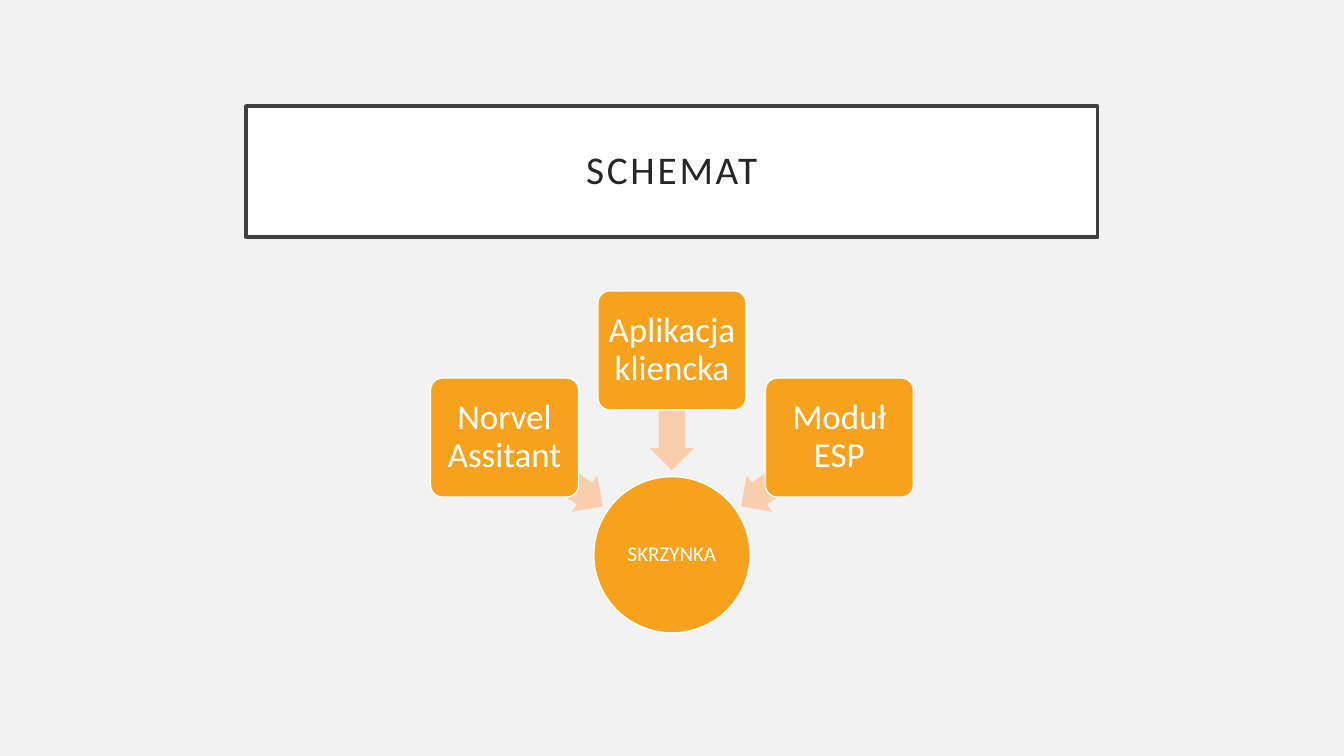
from dataclasses import dataclass
from math import cos, radians, sin

from pptx import Presentation
from pptx import util as u
from pptx.dml.color import RGBColor
from pptx.enum import shapes, text

COLORS = {
    "background": "F2F2F2",
    "white": "FFFFFF",
    "frame": "404040",
    "title": "262626",
    "node": "F6A21D",
    "arrow": "FACEAC",
}
FONT = "Calibri"

# Lengths in centimetres
SLIDE_WIDTH, SLIDE_HEIGHT = 33.87, 19.05
HUB_X, HUB_Y, HUB_SIZE = SLIDE_WIDTH / 2, 13.98, 3.94
CARD_RADIUS, CARD_WIDTH, CARD_HEIGHT = 5.15, 3.73, 3.0
ARROW_RADIUS, ARROW_WIDTH, ARROW_HEIGHT = 3.64, 3.02, 1.12


@dataclass
class Source:
    label: str
    angle: int  # clockwise degrees around the hub, from the right


SOURCES = [
    Source("Norvel Assitant", 215),
    Source("Aplikacja kliencka", 270),
    Source("Moduł ESP", 325),
]


def color(name: str) -> RGBColor:
    return RGBColor.from_string(COLORS[name])


def write(box, words: str, size: int, ink: str, inset: float) -> None:
    frame = box.text_frame
    frame.text = words
    frame.word_wrap = True
    frame.auto_size = text.MSO_AUTO_SIZE.NONE
    frame.vertical_anchor = text.MSO_ANCHOR.MIDDLE
    frame.margin_left = frame.margin_right = u.Cm(inset)
    frame.margin_top = frame.margin_bottom = u.Cm(inset)
    para = frame.paragraphs[0]
    para.alignment = text.PP_ALIGN.CENTER
    para.line_spacing = 0.9
    font = para.runs[0].font
    font.name, font.size = FONT, u.Pt(size)
    font.color.rgb = color(ink)


def paint(box, fill: str, line: str, width: float) -> None:
    box.fill.solid()
    box.fill.fore_color.rgb = color(fill)
    box.line.color.rgb = color(line)
    box.line.width = u.Pt(width)


def add_centred(page, kind, x: float, y: float, width: float, height: float):
    box = page.shapes.add_shape(
        kind, u.Cm(x - width / 2), u.Cm(y - height / 2), u.Cm(width), u.Cm(height)
    )
    box.shadow.inherit = False
    return box


def around_hub(angle: int, radius: float) -> tuple[float, float]:
    turn = radians(angle)
    return HUB_X + radius * cos(turn), HUB_Y + radius * sin(turn)


def add_title(page) -> None:
    title = page.shapes.title
    title.left, title.top = u.Cm(6.2), u.Cm(2.67)
    title.width, title.height = u.Cm(21.46), u.Cm(3.3)
    paint(title, "white", "frame", 2.5)
    write(title, "SCHEMAT", 28, "title", 0.51)
    span = title.text_frame.paragraphs[0].runs[0]
    span.font._element.set("spc", "200")  # letter spacing of 2 pt


def add_hub(page) -> None:
    hub = add_centred(page, shapes.MSO_SHAPE.OVAL, HUB_X, HUB_Y, HUB_SIZE, HUB_SIZE)
    paint(hub, "node", "white", 1)
    write(hub, "SKRZYNKA", 15, "white", 0.03)


def add_source(page, source: Source) -> None:
    # Arrow towards the hub, partly behind its card
    x, y = around_hub(source.angle, ARROW_RADIUS)
    arrow = add_centred(
        page, shapes.MSO_SHAPE.LEFT_ARROW, x, y, ARROW_WIDTH, ARROW_HEIGHT
    )
    arrow.adjustments[0], arrow.adjustments[1] = 0.6, 0.5
    arrow.rotation = source.angle
    arrow.fill.solid()
    arrow.fill.fore_color.rgb = color("arrow")
    arrow.line.fill.background()

    # Card
    x, y = around_hub(source.angle, CARD_RADIUS)
    card = add_centred(
        page, shapes.MSO_SHAPE.ROUNDED_RECTANGLE, x, y, CARD_WIDTH, CARD_HEIGHT
    )
    card.adjustments[0] = 0.1
    paint(card, "node", "white", 1)
    write(card, source.label, 25, "white", 0.1)


def main() -> None:
    deck = Presentation()
    deck.slide_width, deck.slide_height = u.Cm(SLIDE_WIDTH), u.Cm(SLIDE_HEIGHT)
    page = deck.slides.add_slide(deck.slide_layouts[5])
    page.background.fill.solid()
    page.background.fill.fore_color.rgb = color("background")

    add_title(page)
    add_hub(page)
    for source in SOURCES:
        add_source(page, source)

    deck.save("out.pptx")


if __name__ == "__main__":
    main()
